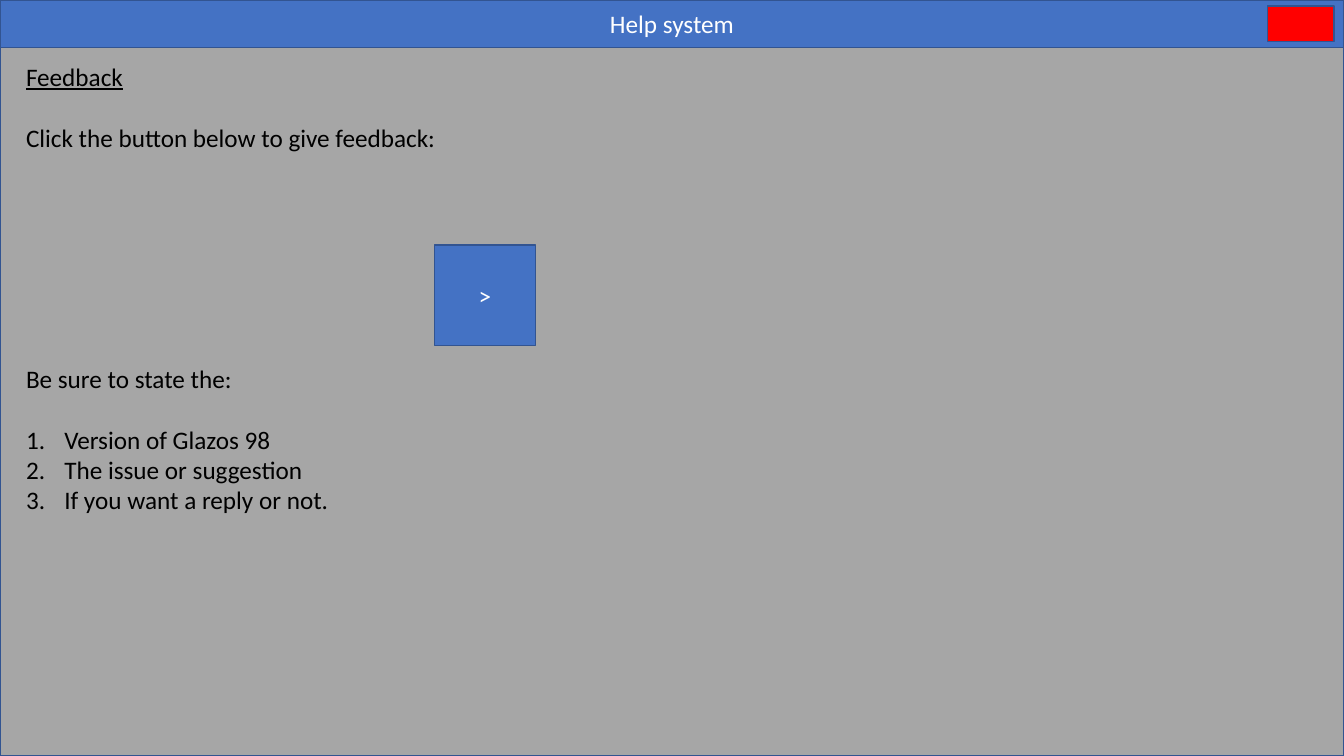
import dataclasses

import lxml.etree
import pptx
import pptx.dml.color
import pptx.enum.shapes
import pptx.enum.text
import pptx.oxml.ns
import pptx.util


def colour(value):
    """Return the colour for a hex string."""
    return pptx.dml.color.RGBColor.from_string(value)


@dataclasses.dataclass
class HelpPage:
    """Holds the style and the current slide, on a grid of tenths of an inch."""

    page: object
    cell: float = 0.1
    font: str = "Calibri"
    size: float = 18
    line_pitch: float = 21.6
    blue: str = "4472C4"
    grey: str = "A6A6A6"
    red: str = "FF0000"
    edge: str = "325491"

    def lengths(self, *cells):
        """Turn grid cells into lengths."""
        return [pptx.util.Inches(count * self.cell) for count in cells]

    def style(self, para, ink, underline=False):
        """Set the font of a paragraph."""
        para.font.name = self.font
        para.font.size = pptx.util.Pt(self.size)
        para.font.color.rgb = colour(ink)
        para.font.underline = underline

    def paint(self, box, fill, label=""):
        """Fill and outline a box and centre its label."""
        box.fill.solid()
        box.fill.fore_color.rgb = colour(fill)
        box.line.color.rgb = colour(self.edge)
        box.line.width = pptx.util.Pt(1)
        if label:
            frame = box.text_frame
            frame.text = label
            frame.word_wrap = True
            frame.auto_size = pptx.enum.text.MSO_AUTO_SIZE.NONE
            frame.vertical_anchor = pptx.enum.text.MSO_ANCHOR.MIDDLE
            para = frame.paragraphs[0]
            para.alignment = pptx.enum.text.PP_ALIGN.CENTER
            para.space_before = pptx.util.Pt(0)
            self.style(para, "FFFFFF")

    def title(self, label, *place):
        """Turn the title placeholder into the title bar."""
        box = self.page.shapes.title
        box.left, box.top, box.width, box.height = self.lengths(*place)
        self.paint(box, self.blue, label)

    def panel(self, fill, *place, label=""):
        """Add a rectangle."""
        kind = pptx.enum.shapes.MSO_SHAPE.RECTANGLE
        box = self.page.shapes.add_shape(kind, *self.lengths(*place))
        box.shadow.inherit = False
        self.paint(box, fill, label)

    def number(self, para):
        """Give a paragraph an automatic number and a hanging indent."""
        indent = pptx.util.Inches(0.38)
        props = para._p.get_or_add_pPr()
        props.set("marL", str(indent))
        props.set("indent", str(-indent))
        tag = pptx.oxml.ns.qn("a:buAutoNum")
        lxml.etree.SubElement(props, tag, type="arabicPeriod")

    def text(self, entries, *place):
        """Add paragraphs given as wording, lines of gap before, and kind."""
        box = self.page.shapes.add_textbox(*self.lengths(*place))
        frame = box.text_frame
        frame.word_wrap = True
        frame.auto_size = pptx.enum.text.MSO_AUTO_SIZE.SHAPE_TO_FIT_TEXT
        for index, (wording, gap, kind) in enumerate(entries):
            para = frame.add_paragraph() if index else frame.paragraphs[0]
            para.text = wording
            if gap:
                para.space_before = pptx.util.Pt(gap * self.line_pitch)
            if kind == "numbered":
                self.number(para)
            self.style(para, "000000", kind == "heading")


def main():
    """Build the feedback page of the help system."""
    deck = pptx.Presentation()
    deck.slide_width = pptx.util.Inches(13.33)
    deck.slide_height = pptx.util.Inches(7.5)
    layout = deck.slide_layouts.get_by_name("Title Only")
    window = HelpPage(deck.slides.add_slide(layout))

    columns, rows, bar = 133.3, 75, 4.7
    window.title("Help system", 0, 0, columns, bar)
    window.panel(window.grey, 0, bar, columns, rows - bar)
    window.panel(window.red, 125.7, 0.6, 6.6, 3.5)
    window.text(
        [
            ("Feedback", 0, "heading"),
            ("Click the button below to give feedback:", 1, "plain"),
            ("Be sure to state the:", 7, "plain"),
            ("Version of Glazos 98", 1, "numbered"),
            ("The issue or suggestion", 0, "numbered"),
            ("If you want a reply or not.", 0, "numbered"),
        ],
        1.6, 5.6, 130.6, 46.4,
    )
    window.panel(window.blue, 43.1, 24.3, 10, 10, label=">")
    deck.save("out.pptx")


if __name__ == "__main__":
    main()
